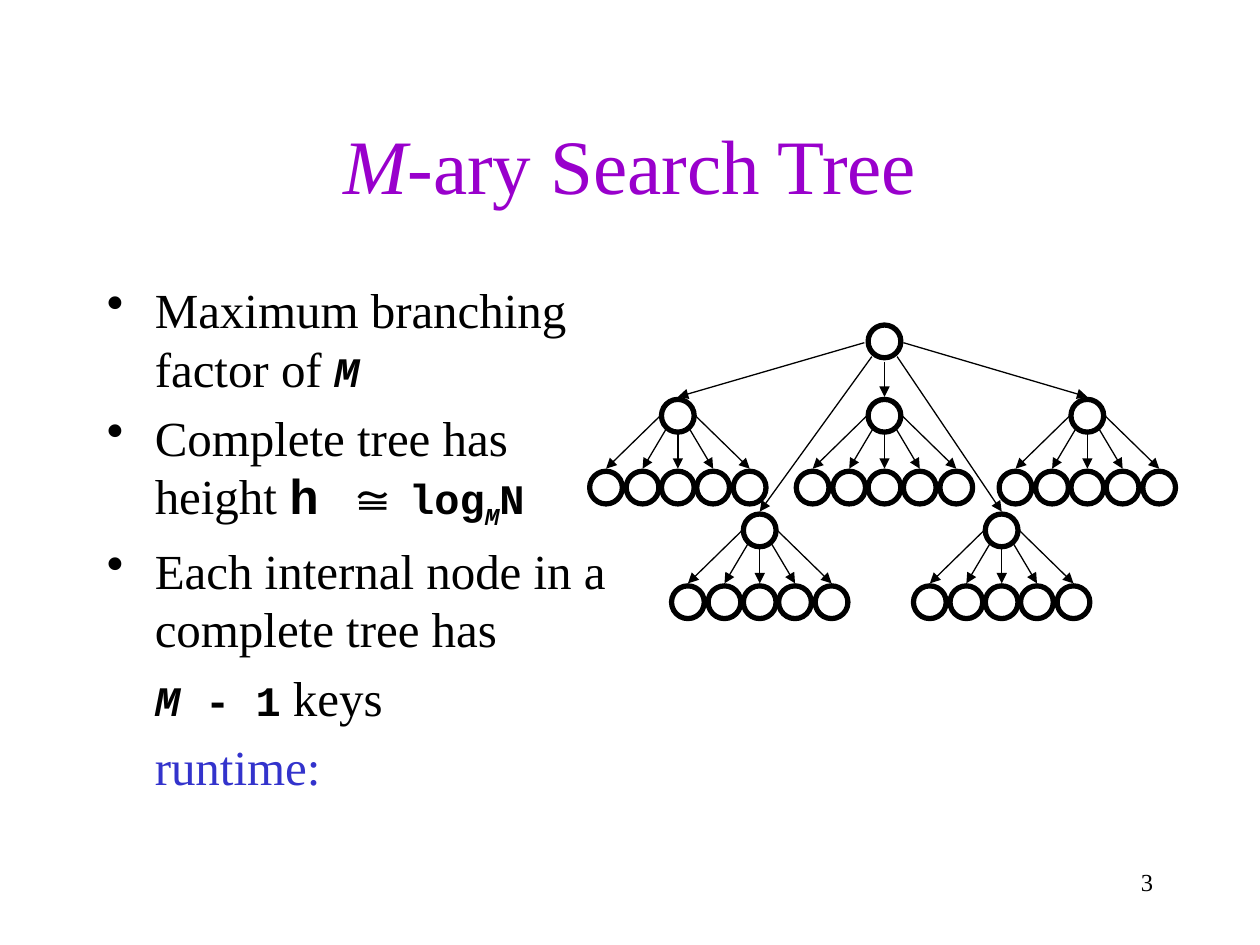
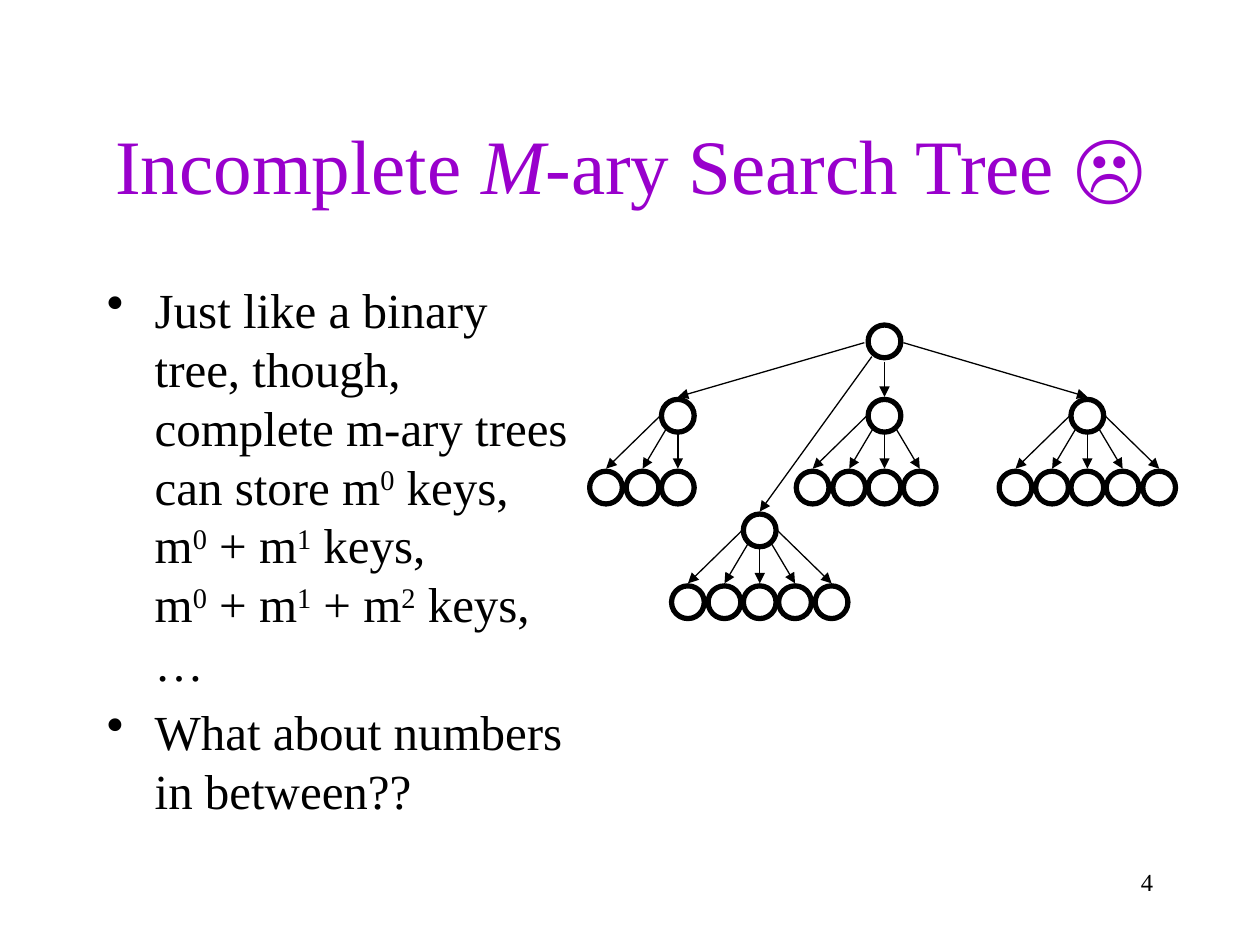
from dataclasses import dataclass

from lxml import etree
from pptx import Presentation
from pptx import util as u
from pptx.dml.color import RGBColor
from pptx.enum import shapes, text
from pptx.oxml.ns import qn

PX = 9144  # EMU in one px, 100 px to the inch
COLORS = {"ink": "000000", "title": "9900CC", "accent": "3333CC"}
SERIF, MONO = "Times New Roman", "Courier New"
TITLE_SIZE, BODY_SIZE, CODE_SIZE, NUMBER_SIZE = 44, 28, 24, 14
SUBSCRIPT, SUPERSCRIPT = -25000, 30000

NODE_SIZE = 26
ARROW_GAP = 15  # from an arrow's tip to the centre of the node below
LEAF_DROP = 57
LEAF_OFFSETS = (-57, -28, 0, 28, 57)
LEAF_ARROW_STARTS = ((-14, 0), (-9, 10), (0, 14), (9, 10), (14, 0))
ROOT_ARROW_STARTS = ((-16, 1), (-10, 12), (0, 16), (10, 12), (15, 1))
ROOT = (702, 271)
SUBTREE_CENTRES = ((538, 330), (603, 421), (702, 330), (795, 421), (863, 330))


@dataclass(frozen=True)
class Span:
    text: str
    size: int | None = None
    face: str | None = None
    color: str | None = None
    bold: bool | None = None
    italic: bool | None = None
    baseline: int = 0


@dataclass(frozen=True)
class Para:
    spans: tuple[Span, ...]
    bullet: bool = True


@dataclass(frozen=True)
class TreePage:
    title: tuple[Span, ...]
    body: tuple[Para, ...]
    body_width: int
    leaf_counts: tuple[int, ...]  # one for each subtree, 0 leaves it out
    number: int


def code(content: str, italic: bool = False, baseline: int = 0) -> Span:
    return Span(content, CODE_SIZE, MONO, bold=True, italic=italic, baseline=baseline)


def raised(content: str) -> tuple[Span, ...]:
    """Split at each ^ and raise the one digit that follows it."""
    first, *rest = content.split("^")
    spans = [Span(first)]
    for part in rest:
        spans += [Span(part[0], baseline=SUPERSCRIPT), Span(part[1:])]
    return tuple(span for span in spans if span.text)


PAGES = (
    TreePage(
        title=(Span("M", italic=True), Span("-ary Search Tree")),
        body=(
            Para((Span("Maximum branching factor of "), code("M", italic=True))),
            Para((
                Span("Complete tree has height "),
                Span("h ", face=MONO, bold=True),
                Span("≅ "),
                code("log"),
                code("M", italic=True, baseline=SUBSCRIPT),
                code("N"),
            )),
            Para((Span("Each internal node in a complete tree has"),)),
            Para((code("M ", italic=True), code("- 1"), Span(" keys")), bullet=False),
            Para((Span("runtime:", color="accent"),), bullet=False),
        ),
        body_width=425,
        leaf_counts=(5, 5, 5, 5, 5),
        number=3,
    ),
    TreePage(
        title=(Span("Incomplete "), Span("M", italic=True), Span("-ary Search Tree ☹")),
        body=(
            Para(raised(
                "Just like a binary tree, though, complete m-ary trees can store "
                "m^0 keys, m^0 + m^1 keys, \vm^0 + m^1 + m^2 keys, …"
            )),
            Para((Span("What about numbers in between??"),)),
        ),
        body_width=386,
        leaf_counts=(3, 5, 4, 0, 5),
        number=4,
    ),
)


def rgb(name: str) -> RGBColor:
    return RGBColor.from_string(COLORS[name])


def add_box(page, left: int, top: int, width: int, height: int):
    box = page.shapes.add_textbox(left * PX, top * PX, width * PX, height * PX)
    box.text_frame.word_wrap = True
    return box.text_frame


def style_font(font, size: int | None, face: str | None, color: str | None) -> None:
    if size:
        font.size = u.Pt(size)
    if face:
        font.name = face
    if color:
        font.color.rgb = rgb(color)


def fill_paragraph(paragraph, spans: tuple[Span, ...], size: int, color: str = "ink") -> None:
    """Set the shared font on the paragraph and only the differences on its runs."""
    style_font(paragraph.font, size, SERIF, color)
    for item in spans:
        for index, piece in enumerate(item.text.split("\v")):
            if index:
                paragraph.add_line_break()
            span = paragraph.add_run()
            span.text = piece
            style_font(span.font, item.size, item.face, item.color)
            span.font.bold, span.font.italic = item.bold, item.italic
            if item.baseline:
                span._r.get_or_add_rPr().set("baseline", str(item.baseline))


def add_title(page, spans: tuple[Span, ...]) -> None:
    frame = add_box(page, 75, 67, 850, 125)
    frame.vertical_anchor = text.MSO_ANCHOR.MIDDLE
    frame.paragraphs[0].alignment = text.PP_ALIGN.CENTER
    fill_paragraph(frame.paragraphs[0], spans, TITLE_SIZE, "title")


def add_body(page, paras: tuple[Para, ...], width: int) -> None:
    frame = add_box(page, 75, 217, width, 450)
    for index, para in enumerate(paras):
        paragraph = frame.add_paragraph() if index else frame.paragraphs[0]
        properties = paragraph._p.get_or_add_pPr()
        properties.set("marL", str(38 * PX))
        properties.set("indent", str(-38 * PX if para.bullet else 0))
        if para.bullet:
            etree.SubElement(properties, qn("a:buChar"), char="•")
        paragraph.space_before = u.Pt(0.2 * BODY_SIZE)
        fill_paragraph(paragraph, para.spans, BODY_SIZE)


def add_number(page, number: int) -> None:
    paragraph = add_box(page, 717, 683, 208, 50).paragraphs[0]
    paragraph.alignment = text.PP_ALIGN.RIGHT
    fill_paragraph(paragraph, (Span(str(number)),), NUMBER_SIZE)


def add_node(parent, x: int, y: int) -> None:
    left, top = x - NODE_SIZE // 2, y - NODE_SIZE // 2
    node = parent.shapes.add_shape(
        shapes.MSO_SHAPE.OVAL, left * PX, top * PX, NODE_SIZE * PX, NODE_SIZE * PX
    )
    node.shadow.inherit = False
    node.fill.background()
    node.line.color.rgb = rgb("ink")
    node.line.width = u.Pt(3)


def add_arrow(parent, centre: tuple[int, int], start: tuple[int, int], child: tuple[int, int]) -> None:
    """Point from an offset off the parent node's centre to just above the child."""
    arrow = parent.shapes.add_connector(
        shapes.MSO_CONNECTOR.STRAIGHT,
        (centre[0] + start[0]) * PX,
        (centre[1] + start[1]) * PX,
        child[0] * PX,
        (child[1] - ARROW_GAP) * PX,
    )
    arrow.line.color.rgb = rgb("ink")
    arrow.line.width = u.Pt(0.75)
    etree.SubElement(arrow.line._get_or_add_ln(), qn("a:tailEnd"), type="triangle")
    etree.SubElement(arrow._element.spPr, qn("a:effectLst"))


def add_subtree(page, centre: tuple[int, int], leaf_count: int) -> None:
    group = page.shapes.add_group_shape()
    add_node(group, *centre)
    leaves = [(centre[0] + dx, centre[1] + LEAF_DROP) for dx in LEAF_OFFSETS[:leaf_count]]
    for leaf in leaves:
        add_node(group, *leaf)
    for start, leaf in zip(LEAF_ARROW_STARTS, leaves):
        add_arrow(group, centre, start, leaf)


def add_tree(page, leaf_counts: tuple[int, ...]) -> None:
    for centre, leaf_count in zip(SUBTREE_CENTRES, leaf_counts):
        if leaf_count:
            add_subtree(page, centre, leaf_count)
    add_node(page, *ROOT)
    for start, centre, leaf_count in zip(ROOT_ARROW_STARTS, SUBTREE_CENTRES, leaf_counts):
        if leaf_count:
            add_arrow(page, ROOT, start, centre)


def main() -> None:
    deck = Presentation()
    deck.slide_width, deck.slide_height = 1000 * PX, 750 * PX
    for content in PAGES:
        page = deck.slides.add_slide(deck.slide_layouts[6])
        add_title(page, content.title)
        add_body(page, content.body, content.body_width)
        add_tree(page, content.leaf_counts)
        add_number(page, content.number)
    deck.save("out.pptx")


if __name__ == "__main__":
    main()
